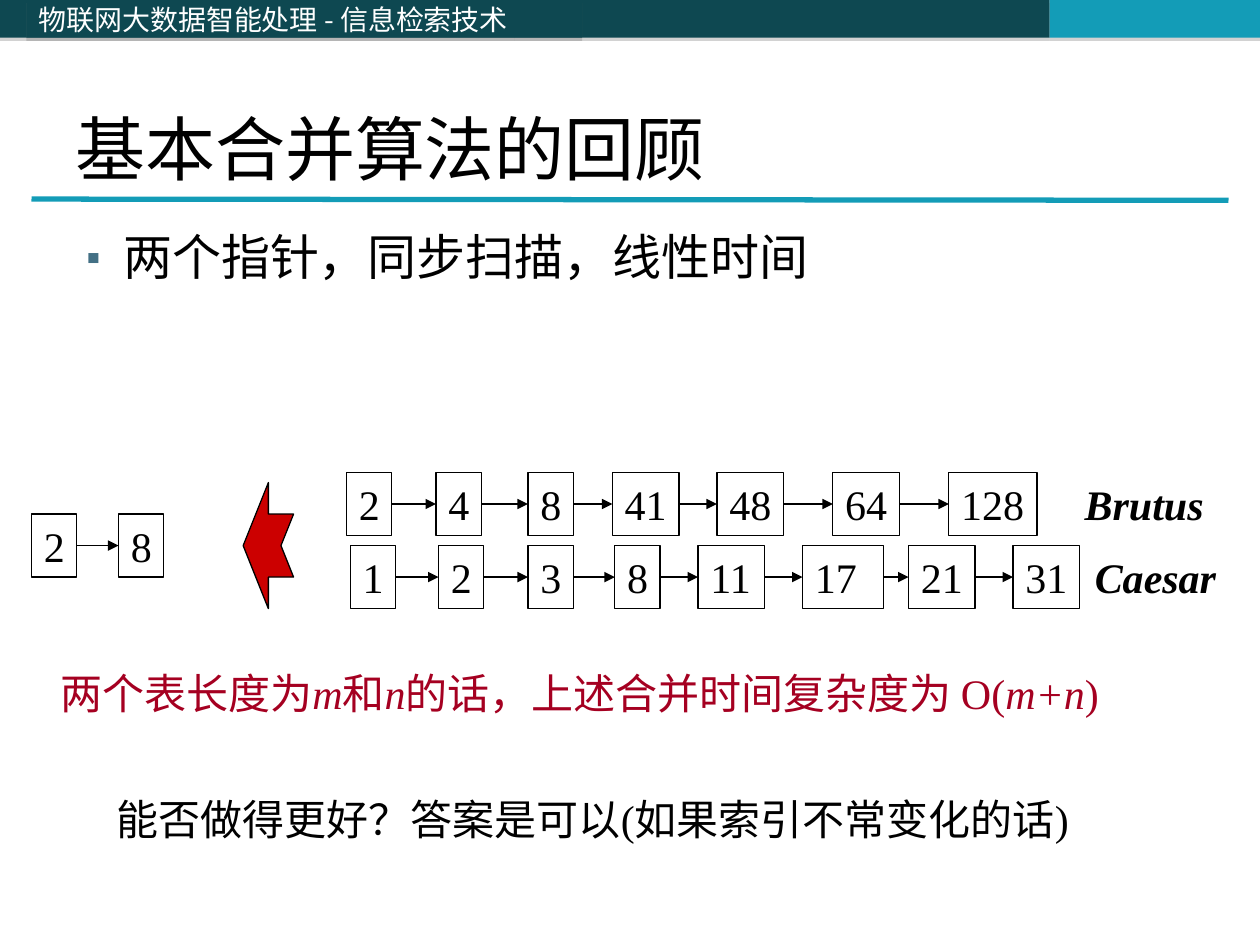
"""Build the slide reviewing the basic postings-list merge algorithm."""
from lxml.etree import SubElement
from pptx import Presentation
from pptx.dml.color import RGBColor as Rgb
from pptx.enum.shapes import MSO_CONNECTOR as Link, MSO_SHAPE as Shape
from pptx.enum.text import MSO_ANCHOR as Anchor, MSO_AUTO_SIZE as Fit, PP_ALIGN as Align
from pptx.oxml.ns import qn
from pptx.util import Pt

PX = 9144
COLORS = {"dark": "0E4851", "teal": "139CB7", "white": "FFFFFF", "black": "000000",
          "red": "CC0000", "crimson": "A50021", "bullet": "437085", "shadow": "808080"}
SERIF, SANS = "Times New Roman", "Noto Sans CJK SC"
DIGIT_WIDTHS = {1: 36, 2: 53, 3: 70}
BOX_HEIGHT = 50
BANDS = [(0, 408, "dark"), (408, 425, "dark"), (833, 167, "teal")]
BRUTUS = [("2", 275), ("4", 346), ("8", 419), ("41", 486), ("48", 569), ("64", 661), ("128", 753)]
CAESAR = [("1", 278), ("2", 348), ("3", 419), ("8", 488), ("11", 554), ("17", 637),
          ("21", 721), ("31", 804)]
MERGED = [("2", 25), ("8", 94)]
WIDE_BOXES = {"17": 64}
COMPLEXITY = [("两个表长度为", False), ("m", True), ("和", False), ("n", True),
              ("的话，上述合并时间复杂度为 O(", False), ("m+n", True), (")", False)]


def px(*lengths):
    """Convert pixel lengths to EMU."""
    return [length * PX for length in lengths]


def rgb(name):
    """Look up a palette colour."""
    return Rgb.from_string(COLORS[name])


def add_run(paragraph, text, color="black", latin=SERIF, **formats):
    """Append a run with its fonts, colour and format values."""
    run = paragraph.add_run()
    run.text = text
    run.font.color.rgb = rgb(color)
    run.font.name = latin
    for key, value in formats.items():
        setattr(run.font, key, value)
    SubElement(run.font._element, qn("a:ea"), typeface=SANS)


def set_frame(shape, **formats):
    """Apply frame values and return the left-aligned first paragraph."""
    frame = shape.text_frame
    for key, value in {"vertical_anchor": Anchor.TOP, "word_wrap": True, **formats}.items():
        setattr(frame, key, value)
    paragraph = frame.paragraphs[0]
    paragraph.alignment = Align.LEFT
    return paragraph


def add_text(slide, area, **formats):
    """Add a text box and return its paragraph."""
    return set_frame(slide.shapes.add_textbox(*px(*area)), **formats)


def add_band(slide, left, width, color):
    """Add a header band with a soft drop shadow."""
    band = slide.shapes.add_shape(Shape.RECTANGLE, *px(left, 0, width, 30))
    band.fill.solid()
    band.fill.fore_color.rgb = rgb(color)
    band.line.fill.background()
    band.shadow.inherit = False
    effects = band.element.spPr.find(qn("a:effectLst"))
    shadow = SubElement(effects, qn("a:outerShdw"), dist=str(Pt(1.8)), dir="5400000")
    tint = SubElement(shadow, qn("a:srgbClr"), val=COLORS["shadow"])
    SubElement(tint, qn("a:alpha"), val="35000")
    return band


def add_line(slide, start, end, color, width, arrow=False):
    """Add a straight line, with an arrowhead at its end if asked."""
    line = slide.shapes.add_connector(Link.STRAIGHT, *px(*start, *end))
    line.line.color.rgb = rgb(color)
    line.line.width = Pt(width)
    properties = line.element.spPr
    if arrow:
        SubElement(properties.find(qn("a:ln")), qn("a:tailEnd"), type="triangle")
    SubElement(properties, qn("a:effectLst"))


def add_outlined(slide, kind, area):
    """Add an unfilled shape with a thin black outline."""
    shape = slide.shapes.add_shape(kind, *px(*area))
    shape.shadow.inherit = False
    shape.fill.background()
    shape.line.color.rgb = rgb("black")
    shape.line.width = Pt(0.75)
    return shape


def add_postings(slide, top, postings):
    """Add a chain of document boxes joined by arrows."""
    middle = top + BOX_HEIGHT // 2
    previous_right = None
    for document, left in postings:
        width = WIDE_BOXES.get(document, DIGIT_WIDTHS[len(document)])
        box = add_outlined(slide, Shape.RECTANGLE, (left, top, width, BOX_HEIGHT))
        entry = set_frame(box, word_wrap=document in WIDE_BOXES,
                          auto_size=Fit.SHAPE_TO_FIT_TEXT)
        add_run(entry, document, size=Pt(24))
        if previous_right is not None:
            add_line(slide, (previous_right, middle), (left, middle), "black", 0.75, arrow=True)
        previous_right = left + width


def add_header(slide):
    """Add the bands, the course name and the title rule."""
    for left, width, color in BANDS:
        add_band(slide, left, width, color)
    add_line(slide, (25, 158), (975, 159), "teal", 3)
    course = set_frame(add_band(slide, 21, 441, "dark"), vertical_anchor=Anchor.MIDDLE)
    add_run(course, "物联网大数据智能处理 - 信息检索技术", "white", SANS, size=Pt(16))


def add_bullet(slide, text):
    """Add the bulleted statement."""
    point = add_text(slide, (50, 175, 900, 542))
    properties = point._p.get_or_add_pPr()
    properties.set("marL", str(38 * PX))
    properties.set("indent", str(-38 * PX))
    tint = SubElement(properties, qn("a:buClr"))
    SubElement(tint, qn("a:srgbClr"), val=COLORS["bullet"])
    SubElement(properties, qn("a:buSzPct"), val="75000")
    SubElement(properties, qn("a:buFont"), typeface=SANS)
    SubElement(properties, qn("a:buChar"), char="▪")
    add_run(point, text, size=Pt(28))


def main():
    """Assemble and save the slide."""
    deck = Presentation()
    deck.slide_width, deck.slide_height = px(1000, 750)
    slide = deck.slides.add_slide(deck.slide_layouts[6])
    add_header(slide)
    title = add_text(slide, (50, 30, 900, 125), vertical_anchor=Anchor.BOTTOM)
    add_run(title, "基本合并算法的回顾", size=Pt(40))
    add_bullet(slide, "两个指针，同步扫描，线性时间")

    for top, postings in [(375, BRUTUS), (433, CAESAR), (408, MERGED)]:
        add_postings(slide, top, postings)
    for term, left, top in [("Brutus", 851, 375), ("Caesar", 859, 433)]:
        label = add_text(slide, (left, top, 118, BOX_HEIGHT), word_wrap=False)
        add_run(label, term, size=Pt(24), bold=True, italic=True)
    merge_arrow = add_outlined(slide, Shape.NOTCHED_RIGHT_ARROW, (193, 383, 40, 100))
    merge_arrow.rotation = 180
    merge_arrow.fill.solid()
    merge_arrow.fill.fore_color.rgb = rgb("red")

    complexity = add_text(slide, (38, 525, 885, 90), word_wrap=False)
    for text, italic in COMPLEXITY:
        add_run(complexity, text, "crimson", size=Pt(24), italic=italic)
    question = add_text(slide, (83, 625, 842, 50), auto_size=Fit.SHAPE_TO_FIT_TEXT)
    add_run(question, "能否做得更好？答案是可以(如果索引不常变化的话)", size=Pt(24))
    deck.save("out.pptx")


if __name__ == "__main__":
    main()
